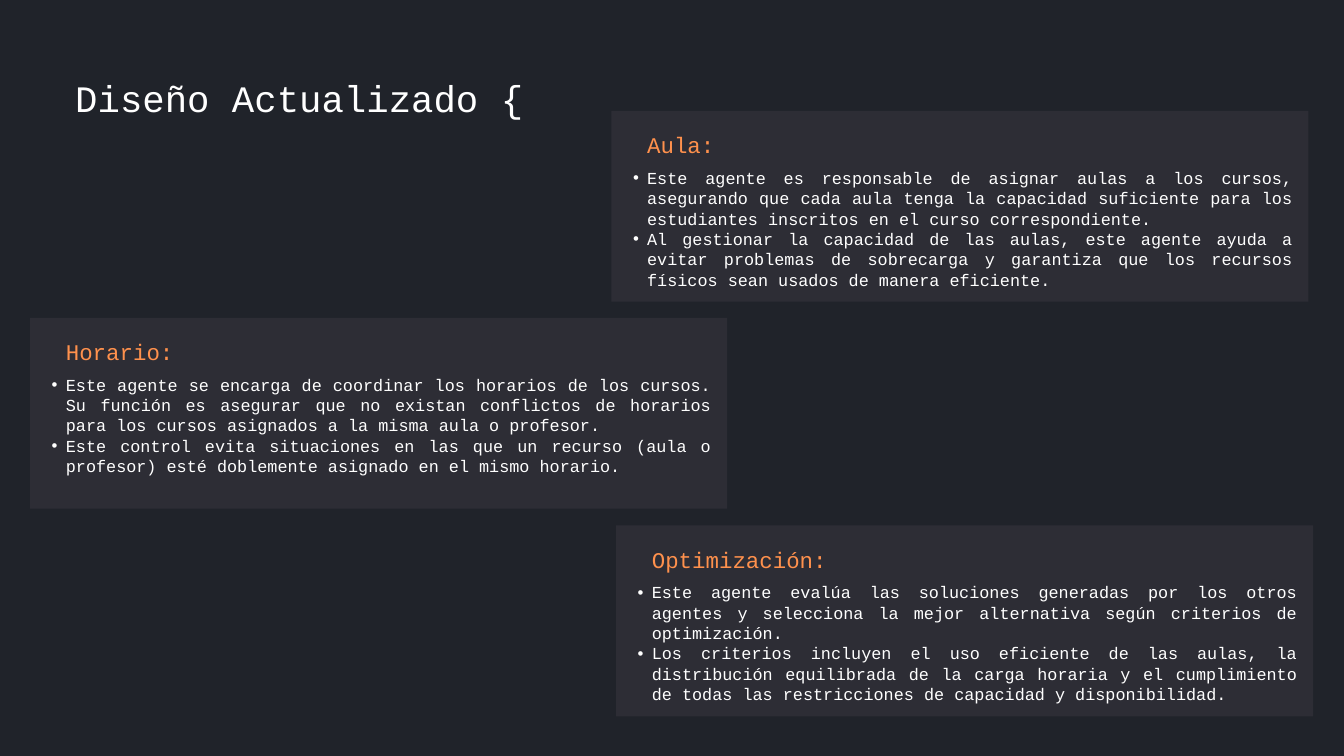
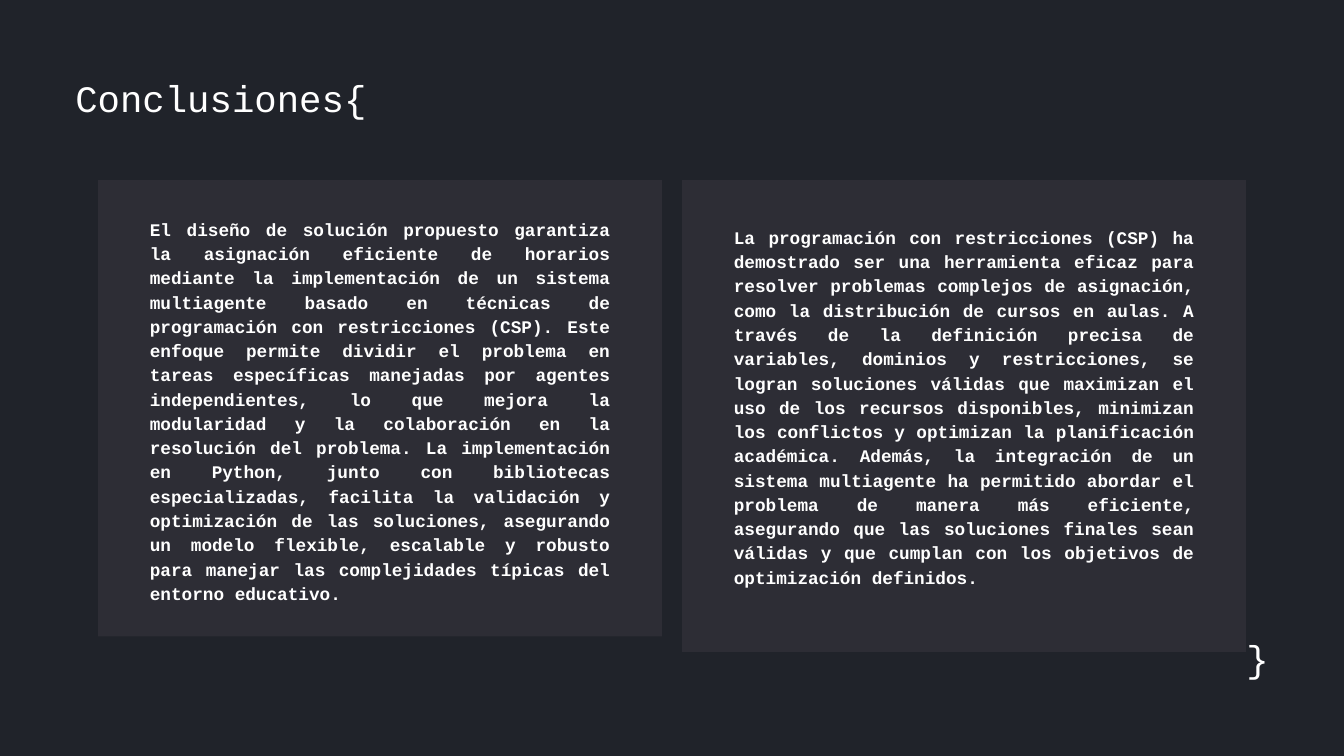
from lxml import etree
from pptx import Presentation
from pptx.dml.color import RGBColor
from pptx.enum.shapes import MSO_SHAPE
from pptx.enum.text import MSO_ANCHOR, MSO_AUTO_SIZE, PP_ALIGN
from pptx.oxml.ns import qn
from pptx.util import Inches, Pt

BACKGROUND = RGBColor(0x20, 0x23, 0x2A)
PANEL = RGBColor(0x2D, 0x2D, 0x35)
ORANGE = RGBColor(0xFF, 0x91, 0x4D)
WHITE = RGBColor(0xFF, 0xFF, 0xFF)
FONT = "Courier New"

AGENTS = [
    (9.1, 1.65, 2.11, "Aula:", [
        "Este agente es responsable de asignar aulas a los cursos, asegurando que cada aula tenga "
        "la capacidad suficiente para los estudiantes inscritos en el curso correspondiente.",
        "Al gestionar la capacidad de las aulas, este agente ayuda a evitar problemas de sobrecarga "
        "y garantiza que los recursos físicos sean usados de manera eficiente.",
    ]),
    (0.45, 4.73, 1.81, "Horario:", [
        "Este agente se encarga de coordinar los horarios de los cursos. Su función es asegurar que "
        "no existan conflictos de horarios para los cursos asignados a la misma aula o profesor.",
        "Este control evita situaciones en las que un recurso (aula o profesor) esté doblemente "
        "asignado en el mismo horario.",
    ]),
    (9.17, 7.82, 2.11, "Optimización:", [
        "Este agente evalúa las soluciones generadas por los otros agentes y selecciona la mejor "
        "alternativa según criterios de optimización.",
        "Los criterios incluyen el uso eficiente de las aulas, la distribución equilibrada de la "
        "carga horaria y el cumplimiento de todas las restricciones de capacidad y disponibilidad.",
    ]),
]

CONCLUSIONS = [
    (1.46, 6.79, 3.21,
     "El diseño de solución propuesto garantiza la asignación eficiente de horarios mediante la "
     "implementación de un sistema multiagente basado en técnicas de programación con "
     "restricciones (CSP). Este enfoque permite dividir el problema en tareas específicas "
     "manejadas por agentes independientes, lo que mejora la modularidad y la colaboración en la "
     "resolución del problema. La implementación en Python, junto con bibliotecas especializadas, "
     "facilita la validación y optimización de las soluciones, asegurando un modelo flexible, "
     "escalable y robusto para manejar las complejidades típicas del entorno educativo."),
    (10.15, 7.02, 3.33,
     "La programación con restricciones (CSP) ha demostrado ser una herramienta eficaz para "
     "resolver problemas complejos de asignación, como la distribución de cursos en aulas. A "
     "través de la definición precisa de variables, dominios y restricciones, se logran "
     "soluciones válidas que maximizan el uso de los recursos disponibles, minimizan los "
     "conflictos y optimizan la planificación académica. Además, la integración de un sistema "
     "multiagente ha permitido abordar el problema de manera más eficiente, asegurando que las "
     "soluciones finales sean válidas y que cumplan con los objetivos de optimización definidos."),
]


def add_page(deck):
    page = deck.slides.add_slide(deck.slide_layouts[6])
    page.background.fill.solid()
    page.background.fill.fore_color.rgb = BACKGROUND
    return page


def add_panel(page, left, top, width, height):
    panel = page.shapes.add_shape(
        MSO_SHAPE.RECTANGLE, Inches(left), Inches(top), Inches(width), Inches(height))
    panel.shadow.inherit = False
    panel.fill.solid()
    panel.fill.fore_color.rgb = PANEL
    panel.line.fill.background()


def add_bullet(para):
    para.level = 1
    properties = para._p.get_or_add_pPr()
    properties.set("marL", str(Inches(0.42)))
    properties.set("indent", str(Inches(-0.21)))
    etree.SubElement(properties, qn("a:buFont")).set("typeface", "Arial")
    etree.SubElement(properties, qn("a:buChar")).set("char", "•")


def add_text(page, texts, left, top, width, height, *, size, spacing, color=WHITE,
             bold=False, align=PP_ALIGN.LEFT, bullets=False):
    box = page.shapes.add_textbox(Inches(left), Inches(top), Inches(width), Inches(height))
    frame = box.text_frame
    frame.word_wrap = True
    frame.auto_size = MSO_AUTO_SIZE.SHAPE_TO_FIT_TEXT
    frame.vertical_anchor = MSO_ANCHOR.TOP
    frame.margin_left = frame.margin_right = frame.margin_top = frame.margin_bottom = 0
    for index, text in enumerate(texts):
        para = frame.add_paragraph() if index else frame.paragraphs[0]
        para.alignment = align
        para.line_spacing = Pt(spacing)
        if bullets:
            add_bullet(para)
        span = para.add_run()
        span.text = text
        span.font.name = FONT
        span.font.size = Pt(size)
        span.font.bold = bold
        span.font.color.rgb = color


def add_title(page, text, left=1.12, top=1.15, width=8.26, align=PP_ALIGN.LEFT):
    add_text(page, [text], left, top, width, 0.64, size=40, spacing=45.6, align=align)


def add_agent(page, left, top, body_height, name, duties):
    add_panel(page, left, top, 10.37, 2.84)
    add_text(page, [name], left + 0.53, top + 0.3, 9.32, 0.41,
             size=24, spacing=29, color=ORANGE)
    add_text(page, duties, left + 0.11, top + 0.84, 10.02, body_height,
             size=18, spacing=21.8, align=PP_ALIGN.JUSTIFY, bullets=True)


def add_conclusion(page, left, height, text_top, text):
    add_panel(page, left, 2.68, 8.39, height)
    add_text(page, [text], left + 0.77, text_top, 6.85, 5.67,
             size=19, spacing=26, bold=True, align=PP_ALIGN.JUSTIFY)


def main():
    deck = Presentation()
    deck.slide_width = Inches(20)
    deck.slide_height = Inches(11.25)

    design = add_page(deck)
    add_title(design, "Diseño Actualizado {")
    for agent in AGENTS:
        add_agent(design, *agent)

    closing = add_page(deck)
    for conclusion in CONCLUSIONS:
        add_conclusion(closing, *conclusion)
    add_title(closing, "Conclusiones{", width=7.69)
    add_title(closing, "}", left=18.11, top=9.49, width=0.77, align=PP_ALIGN.RIGHT)

    deck.save("out.pptx")


if __name__ == "__main__":
    main()
